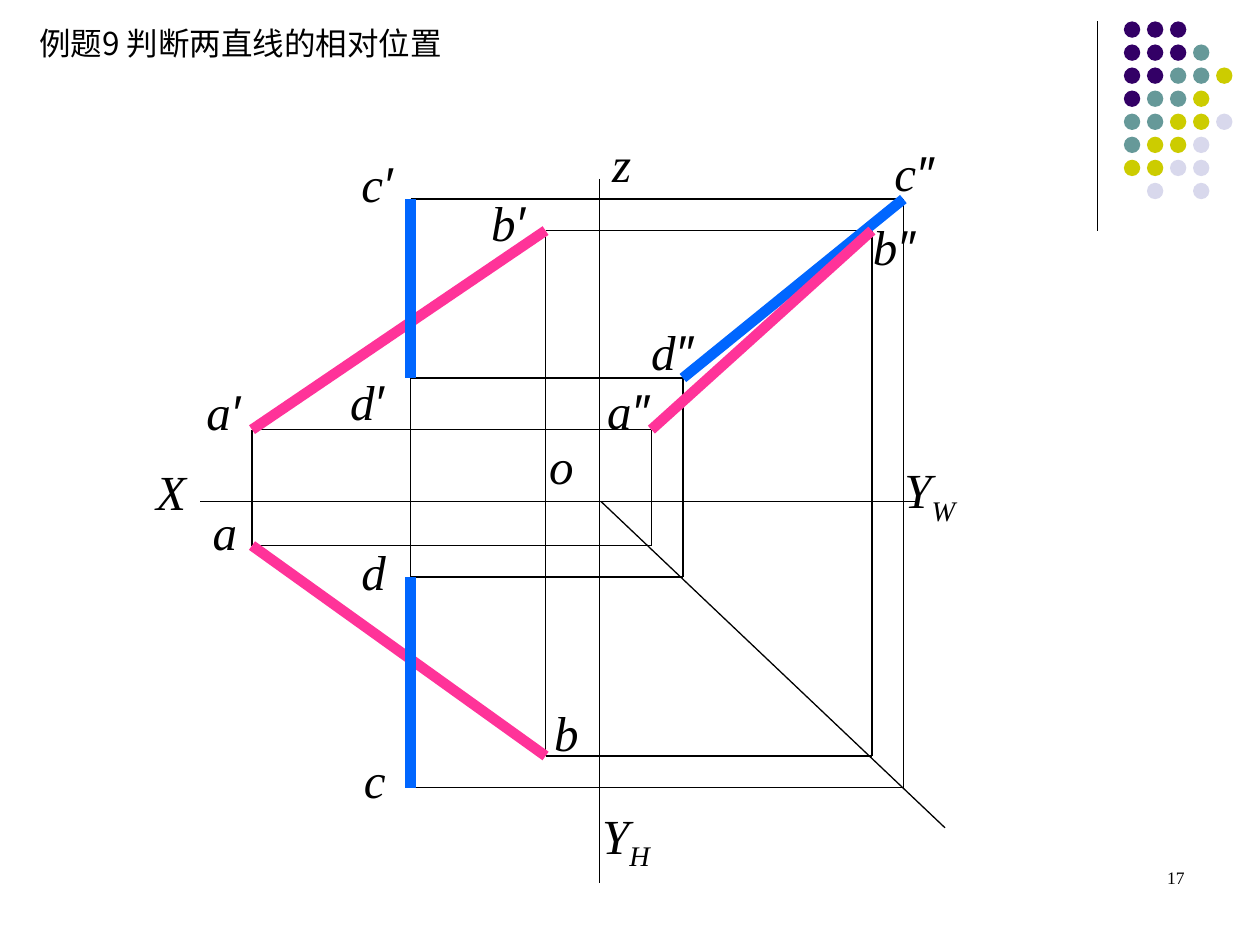
from lxml import etree
from pptx import Presentation
from pptx.dml.color import RGBColor
from pptx.enum.shapes import MSO_CONNECTOR, MSO_SHAPE
from pptx.enum.text import MSO_ANCHOR, MSO_AUTO_SIZE, PP_ALIGN
from pptx.oxml.ns import qn
from pptx.util import Inches, Pt

STRAIGHT, OVAL = MSO_CONNECTOR.STRAIGHT, MSO_SHAPE.OVAL
TOP, NO_FIT = MSO_ANCHOR.TOP, MSO_AUTO_SIZE.NONE
LEFT, RIGHT = PP_ALIGN.LEFT, PP_ALIGN.RIGHT
SERIF, SANS, CJK = "Times New Roman", "Arial", "Noto Sans CJK SC"
COLORS = {"ink": "000000", "blue": "0066FF", "pink": "FF3399", "purple": "330066",
          "teal": "669999", "olive": "CCCC00", "pale": "D8D8EC"}

# Each point: x and y in the front view, y in the top view, x in the side view
POINTS = {"a": (2, 3.41, 4.33, 5.17), "b": (4.33, 1.83, 6, 6.92),
          "c": (3.26, 1.58, 6.25, 7.17), "d": (3.26, 3, 4.58, 5.42)}
AXES = [(1.59, 3.98, 7.26, 3.98), (4.76, 1.42, 4.76, 7.01), (4.77, 3.98, 7.5, 6.57)]
# Left, top, width, letter, suffix (prime marks or a subscript)
LABELS = [
    (1.54, 2.98, 0.59, "a", "′"), (3.8, 1.48, 1.08, "b", "′"),
    (2.77, 1.17, 0.59, "c", "′"), (2.68, 2.9, 0.6, "d", "′"),
    (1.59, 3.93, 0.74, "a", ""), (4.3, 5.53, 0.8, "b", ""),
    (2.79, 5.9, 0.59, "c", ""), (2.77, 4.25, 0.59, "d", ""),
    (4.72, 2.97, 1.08, "a", "″"), (6.83, 1.67, 1.08, "b", "″"),
    (7, 1.08, 1.08, "c", "″"), (5.07, 2.5, 1.08, "d", "″"),
    (1.14, 3.61, 0.97, "X", ""), (4.76, 1.01, 0.97, "z", ""),
    (4.26, 3.41, 0.97, "o", ""),
    (7.08, 3.6, 0.97, "Y", "W"), (4.68, 6.34, 0.97, "Y", "H"),
]
DOT_ROWS = ["PPP", "PPPT", "PPTTO", "PTTO", "TTOOL", "TOOL", "OOLL", " L L"]
DOT_COLORS = {"P": "purple", "T": "teal", "O": "olive", "L": "pale"}


class Drawing:
    def __init__(self, slide):
        self.slide = slide

    def color(self, name):
        return RGBColor.from_string(COLORS[name])

    def line(self, x1, y1, x2, y2, color="ink", width=0.75):
        cx = self.slide.shapes.add_connector(
            STRAIGHT, Inches(x1), Inches(y1), Inches(x2), Inches(y2))
        cx.line.color.rgb = self.color(color)
        cx.line.width = Pt(width)
        etree.SubElement(cx._element.spPr, qn("a:effectLst"))

    def dot(self, x, y, size, color):
        sp = self.slide.shapes.add_shape(
            OVAL, Inches(x), Inches(y), Inches(size), Inches(size))
        sp.shadow.inherit = False
        sp.fill.solid()
        sp.fill.fore_color.rgb = self.color(color)
        sp.line.fill.background()

    def run(self, p, text, size, font=SERIF, italic=False):
        r = p.add_run()
        r.text = text
        r.font.size, r.font.name, r.font.italic = Pt(size), font, italic
        r.font.color.rgb = self.color("ink")
        return r

    def text_box(self, x, y, w, h, align=LEFT):
        """Add an empty wrapping text box and return its paragraph."""
        tf = self.slide.shapes.add_textbox(
            Inches(x), Inches(y), Inches(w), Inches(h)).text_frame
        tf.word_wrap = True
        tf.paragraphs[0].alignment = align
        return tf.paragraphs[0]

    def label(self, x, y, w, letter, suffix):
        subscript = suffix.isalpha()
        p = self.text_box(x, y, w, 0.63 if subscript else 0.57)
        self.run(p, letter, 28, italic=True)
        if subscript:
            r = self.run(p, suffix, 28, italic=True)
            r.font._element.set("baseline", "-25000")
        elif suffix:
            self.run(p, suffix, 28, SANS, italic=True)

    def title(self, text, x, y, w, h):
        sp = self.slide.shapes.title
        sp.left, sp.top, sp.width, sp.height = map(Inches, (x, y, w, h))
        tf = sp.text_frame
        tf.auto_size, tf.word_wrap, tf.vertical_anchor = NO_FIT, False, TOP
        p = tf.paragraphs[0]
        p.alignment = LEFT
        r = self.run(p, text, 18, CJK)
        etree.SubElement(r.font._element, qn("a:ea")).set("typeface", CJK)

    def corner_dots(self):
        self.line(8.71, 0.17, 8.71, 1.83)
        for row, codes in enumerate(DOT_ROWS):
            for col, code in enumerate(codes):
                if code in DOT_COLORS:
                    self.dot(8.92 + 0.183 * col, 0.17 + 0.183 * row, 0.13,
                             DOT_COLORS[code])

    def projectors(self, x, front_y, top_y, side_x):
        """Link the three views of one point."""
        self.line(x, front_y, side_x, front_y)
        self.line(x, top_y, side_x, top_y)
        self.line(x, front_y, x, top_y)
        self.line(side_x, front_y, side_x, top_y)

    def segment(self, start, end, color, view):
        """Draw a line of space in one view."""
        ends = []
        for x, front_y, top_y, side_x in (POINTS[start], POINTS[end]):
            ends += {"front": (x, front_y), "top": (x, top_y),
                     "side": (side_x, front_y)}[view]
        self.line(*ends, color, 6)


def main():
    prs = Presentation()
    prs.slide_width, prs.slide_height = Inches(10), Inches(7.5)
    s = Drawing(prs.slides.add_slide(prs.slide_layouts[5]))
    s.title("例题9 判断两直线的相对位置", 0.21, 0.14, 3.62, 0.4)
    s.corner_dots()
    for point in POINTS.values():
        s.projectors(*point)
    for axis in AXES:
        s.line(*axis)
    ab, cd = ("a", "b", "pink"), ("c", "d", "blue")
    for view, order in (("front", (ab, cd)), ("top", (ab, cd)), ("side", (cd, ab))):
        for segment in order:
            s.segment(*segment, view)
    for label in LABELS:
        s.label(*label)
    p = s.text_box(7.17, 6.83, 2.33, 0.5, RIGHT)
    s.run(p, "17", 10)
    prs.save("out.pptx")


if __name__ == "__main__":
    main()
